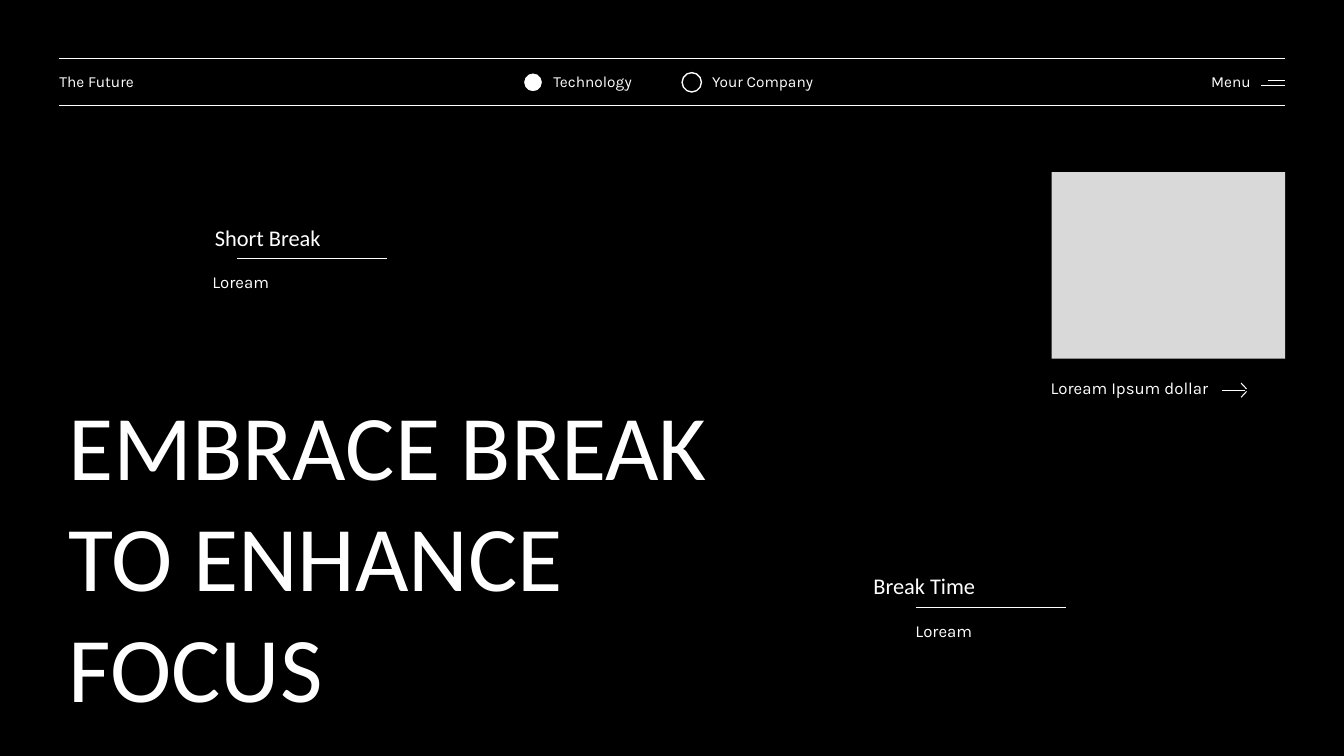
from dataclasses import dataclass
from lxml.etree import SubElement
from pptx import Presentation
from pptx.dml.color import RGBColor
from pptx.enum.shapes import MSO_CONNECTOR, MSO_SHAPE
from pptx.oxml.ns import qn
from pptx.util import Inches, Pt


@dataclass(frozen=True)
class Theme:
    back: RGBColor = RGBColor(0, 0, 0)
    ink: RGBColor = RGBColor(255, 255, 255)
    panel: RGBColor = RGBColor(0xD9, 0xD9, 0xD9)
    head: str = "Calibri"
    body: str = "Karla"
    title: int = 66
    label: int = 16
    text: int = 12
    menu: int = 11
    thin: float = 0.75
    bold: float = 1


THEME = Theme()
COLS, ROWS = 160, 90  # square grid over the slide
WIDTH, HEIGHT = Inches(13.33), Inches(7.5)


def grid(x, y):
    return round(x * WIDTH / COLS), round(y * HEIGHT / ROWS)


def write(slide, lines, x, y, w, h, font, size):
    box = slide.shapes.add_textbox(*grid(x, y), *grid(w, h))
    frame = box.text_frame
    frame.word_wrap = True
    frame.text = lines
    for para in frame.paragraphs:
        for run in para.runs:
            run.font.name = font
            run.font.size = Pt(size)
            run.font.color.rgb = THEME.ink


def rule(slide, x1, y1, x2, y2, width=THEME.thin):
    line = slide.shapes.add_connector(
        MSO_CONNECTOR.STRAIGHT, *grid(x1, y1), *grid(x2, y2))
    line.line.color.rgb = THEME.ink
    line.line.width = Pt(width)
    SubElement(line._element.spPr, qn("a:effectLst"))


def block(slide, kind, x, y, w, h, fill=None, edge=None):
    shape = slide.shapes.add_shape(kind, *grid(x, y), *grid(w, h))
    shape.shadow.inherit = False
    if fill is None:
        shape.fill.background()
    else:
        shape.fill.solid()
        shape.fill.fore_color.rgb = fill
    if edge is None:
        shape.line.fill.background()
    else:
        shape.line.color.rgb = edge
        shape.line.width = Pt(THEME.bold)


def header(slide, x, y, w, h):
    right = x + w
    for edge in (y, y + h):
        rule(slide, x, edge, right, edge)
    # Menu icon
    for size, drop in ((2, 2.6), (2.9, 3.2)):
        rule(slide, right - size, y + drop, right, y + drop, THEME.bold)
    # Labels
    for name, left, wide in (("The Future", -1.1, 14.3),
                             ("Technology", 57.7, 15.4),
                             ("Your Company", 76.6, 16.6),
                             ("Menu", 136, 7.1)):
        write(slide, name, x + left, y + 1.05, wide, 3.5,
              THEME.body, THEME.menu)
    # Round markers
    for left, fill, edge in ((55.3, THEME.ink, THEME.back),
                             (74.2, None, THEME.ink)):
        block(slide, MSO_SHAPE.OVAL, x + left, y + 1.65, 2.3, 2.3, fill, edge)


def card(slide, x, y, w, h):
    block(slide, MSO_SHAPE.RECTANGLE, x, y, w, h, THEME.panel)
    base = y + h
    write(slide, "Loream Ipsum dollar", x - 1.3, base + 1.7, 22.6, 3.6,
          THEME.body, THEME.text)
    # Arrow: shaft and two barbs
    tip, mid = x + 23.2, base + 3.75
    rule(slide, tip - 2.9, mid, tip - 0.2, mid)
    for side in (-1, 1):
        rule(slide, tip - 0.65, mid + side * 0.85, tip, mid + side * 0.15)


def note(slide, name, x, y, w, shift, inset):
    rule(slide, x, y, x + w, y)
    write(slide, name, x - shift, y - 4.75, 19.7, 4.4,
          THEME.head, THEME.label)
    write(slide, "Loream", x - inset, y + 1, 11.3, 3.6,
          THEME.body, THEME.text)


def title(slide, x, y, w, h):
    write(slide, "EMBRACE BREAK\nTO ENHANCE\nFOCUS", x, y, w, h,
          THEME.head, THEME.title)


def main():
    deck = Presentation()
    deck.slide_width, deck.slide_height = WIDTH, HEIGHT
    slide = deck.slides.add_slide(deck.slide_layouts[6])
    slide.background.fill.solid()
    slide.background.fill.fore_color.rgb = THEME.back

    card(slide, 125.2, 20.5, 27.8, 22.2)
    header(slide, 7, 7, 146, 5.6)
    title(slide, 7, 45.6, 88.3, 41.2)
    note(slide, "Short Break", 28.2, 30.8, 17.9, 3.8, 4.1)
    note(slide, "Break Time", 109, 72.3, 17.9, 6.2, 1.2)
    deck.save("out.pptx")


if __name__ == "__main__":
    main()
